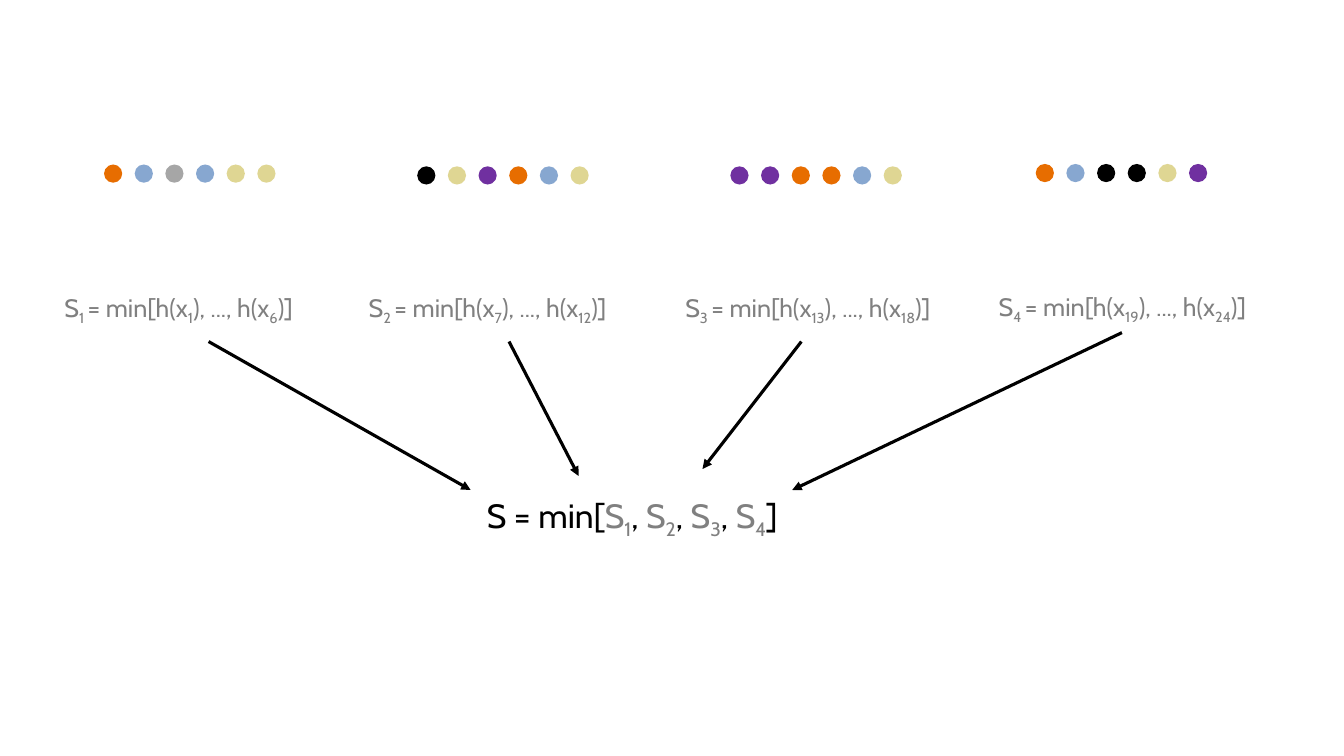
from dataclasses import dataclass
from typing import NamedTuple

from lxml import etree
from pptx import Presentation
from pptx.dml.color import RGBColor
from pptx.enum.shapes import MSO_CONNECTOR, MSO_SHAPE
from pptx.enum.text import MSO_AUTO_SIZE
from pptx.oxml.ns import qn
from pptx.util import Pt

OVAL = MSO_SHAPE.OVAL
STRAIGHT = MSO_CONNECTOR.STRAIGHT
FIT_TEXT = MSO_AUTO_SIZE.SHAPE_TO_FIT_TEXT

ORANGE, BLUE, SAND = "E76D00", "87A7D0", "DFD693"
PURPLE, SILVER, BLACK, GRAY = "7030A0", "A6A6A6", "000000", "808080"

DOT_SIZE = 13
DOT_PITCH = 21.9


class Piece(NamedTuple):
    text: str
    color: str = GRAY
    subscript: bool = False


class Arrow(NamedTuple):
    x1: float
    y1: float
    x2: float
    y2: float


@dataclass
class Group:
    """A row of dots, the formula below it and the arrow to the result."""
    dots: list[str]
    dots_left: float
    dots_top: float
    first: str
    last: str
    text_left: float
    text_top: float
    text_width: float
    arrow: Arrow


GROUPS = [
    Group([ORANGE, BLUE, SILVER, BLUE, SAND, SAND], 74.3, 117.5,
          "1", "6", 38.9, 205.2, 195.1, Arrow(149, 244, 336.2, 350)),
    Group([BLACK, SAND, PURPLE, ORANGE, BLUE, SAND], 298, 118.8,
          "7", "12", 256.3, 205.2, 210.2, Arrow(363.6, 244, 413.3, 340)),
    Group([PURPLE, PURPLE, ORANGE, ORANGE, BLUE, SAND], 521.7, 118.8,
          "13", "18", 482.4, 205.2, 210.2, Arrow(572.4, 244, 501.8, 335)),
    Group([ORANGE, BLUE, BLACK, BLACK, SAND, PURPLE], 739.8, 117.1,
          "19", "24", 706.3, 204.5, 210.2, Arrow(801.4, 237.6, 565.9, 350)),
]


def rgb(color: str) -> RGBColor:
    return RGBColor.from_string(color)


def add_dot(s, left: float, top: float, color: str) -> None:
    sp = s.shapes.add_shape(OVAL, Pt(left), Pt(top), Pt(DOT_SIZE), Pt(DOT_SIZE))
    sp.shadow.inherit = False
    sp.fill.solid()
    sp.fill.fore_color.rgb = rgb(color)
    sp.line.fill.background()


def add_formula(s, left: float, top: float, width: float, height: float,
                size: float, pieces: list[Piece]) -> None:
    tf = s.shapes.add_textbox(Pt(left), Pt(top), Pt(width), Pt(height)).text_frame
    for name, value in {"word_wrap": True, "auto_size": FIT_TEXT}.items():
        setattr(tf, name, value)
    p = tf.paragraphs[0]
    for piece in pieces:
        r = p.add_run()
        r.text = piece.text
        for name, value in {"name": "Cabin", "size": Pt(size)}.items():
            setattr(r.font, name, value)
        r.font.color.rgb = rgb(piece.color)
        if piece.subscript:
            r._r.get_or_add_rPr().set("baseline", "-25000")


def add_arrow(s, arrow: Arrow) -> None:
    cxn = s.shapes.add_connector(STRAIGHT, *(Pt(v) for v in arrow))
    cxn.line.width = Pt(2.25)
    cxn.line.color.rgb = rgb(BLACK)
    etree.SubElement(cxn.line._get_or_add_ln(), qn("a:tailEnd"), type="triangle")
    etree.SubElement(cxn._element.spPr, qn("a:effectLst"))


def group_formula(number: int, first: str, last: str) -> list[Piece]:
    return [Piece("S"), Piece(f"{number} ", subscript=True),
            Piece("= min[h(x"), Piece(first, subscript=True),
            Piece("), ..., h(x"), Piece(last, subscript=True), Piece(")]")]


def result_formula(count: int) -> list[Piece]:
    pieces = [Piece("S = min[", BLACK)]
    for number in range(1, count + 1):
        end = "]" if number == count else ", "
        pieces += [Piece("S"), Piece(str(number), subscript=True), Piece(end, BLACK)]
    return pieces


def main() -> None:
    prs = Presentation()
    prs.slide_width, prs.slide_height = Pt(960), Pt(540)
    s = prs.slides.add_slide(prs.slide_layouts[6])

    # Four groups: dots, minimum formula, arrow
    for number, g in enumerate(GROUPS, 1):
        for i, color in enumerate(g.dots):
            add_dot(s, g.dots_left + i * DOT_PITCH, g.dots_top, color)
        add_formula(s, g.text_left, g.text_top, g.text_width, 29, 18,
                    group_formula(number, g.first, g.last))
        add_arrow(s, g.arrow)

    # Overall minimum
    add_formula(s, 340.6, 350, 238.3, 36, 24, result_formula(len(GROUPS)))

    prs.save("out.pptx")


if __name__ == "__main__":
    main()
